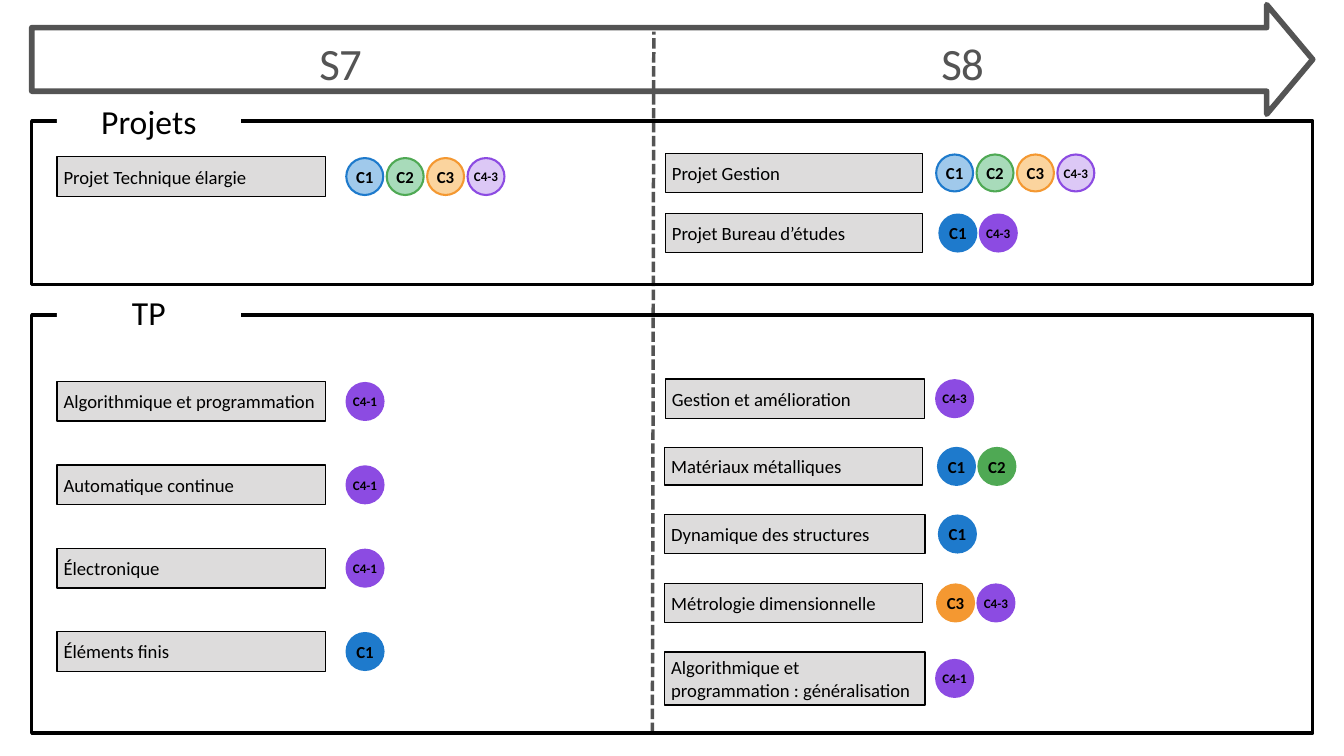
from lxml.etree import SubElement
from pptx import Presentation
from pptx.dml.color import RGBColor
from pptx.enum.dml import MSO_LINE
from pptx.enum.shapes import MSO_CONNECTOR, MSO_SHAPE
from pptx.enum.text import MSO_ANCHOR, PP_ALIGN
from pptx.oxml.ns import qn
from pptx.util import Pt

BLACK = RGBColor(0x00, 0x00, 0x00)
WHITE = RGBColor(0xFF, 0xFF, 0xFF)
GREY = RGBColor(0x54, 0x54, 0x54)
PALE_GREY = RGBColor(0xDD, 0xDC, 0xDC)
BLUE = RGBColor(0x1E, 0x7A, 0xCC)
GREEN = RGBColor(0x4F, 0xA9, 0x54)
ORANGE = RGBColor(0xF4, 0x98, 0x31)
PURPLE = RGBColor(0x8C, 0x4B, 0xE2)
PALE_BLUE = RGBColor(0xA0, 0xC9, 0xEB)
PALE_GREEN = RGBColor(0xA8, 0xDB, 0xBA)
PALE_ORANGE = RGBColor(0xFB, 0xD4, 0x9E)

FONT = "Calibri"
BADGE_SIZE = 39.6
BADGE_STEP = 43.3
BADGE_COLORS = {
    "C1": (BLUE, PALE_BLUE),
    "C2": (GREEN, PALE_GREEN),
    "C3": (ORANGE, PALE_ORANGE),
    "C4-1": (PURPLE, PURPLE),
    "C4-3": (PURPLE, PURPLE),
}

deck = Presentation()
deck.slide_width = Pt(1440)
deck.slide_height = Pt(810)
page = deck.slides.add_slide(deck.slide_layouts[6])


def add_figure(kind, left, top, width, height, fill, line, weight):
    figure = page.shapes.add_shape(kind, Pt(left), Pt(top), Pt(width), Pt(height))
    figure.shadow.inherit = False
    if fill is None:
        figure.fill.background()
    else:
        figure.fill.solid()
        figure.fill.fore_color.rgb = fill
    if line is None:
        figure.line.fill.background()
    else:
        figure.line.color.rgb = line
        figure.line.width = Pt(weight)
    return figure


def write(box, text, size, color=BLACK, align=PP_ALIGN.CENTER, anchor=MSO_ANCHOR.MIDDLE):
    box.text_frame.word_wrap = True
    box.text_frame.vertical_anchor = anchor
    para = box.text_frame.paragraphs[0]
    para.alignment = align
    span = para.add_run()
    span.text = text
    span.font.name = FONT
    span.font.size = Pt(size)
    span.font.color.rgb = color
    return span


arrow = add_figure(MSO_SHAPE.RIGHT_ARROW, 34, 5, 1372.5, 117.4, None, GREY, 6)
arrow.adjustments[0] = 0.58
arrow.adjustments[1] = 0.42

divider = page.shapes.add_connector(
    MSO_CONNECTOR.STRAIGHT, Pt(699), Pt(785.5), Pt(700.5), Pt(34)
)
divider.line.color.rgb = GREY
divider.line.width = Pt(3.75)
divider.line.dash_style = MSO_LINE.SQUARE_DOT
SubElement(divider._element.spPr, qn("a:effectLst"))

for semester, left, width in [("S7", 36, 658), ("S8", 706.3, 650)]:
    box = page.shapes.add_textbox(Pt(left), Pt(33), Pt(width), Pt(60))
    frame = box.text_frame
    frame.margin_left = frame.margin_right = frame.margin_top = frame.margin_bottom = 0
    span = write(box, semester, 48, GREY, anchor=MSO_ANCHOR.TOP)
    span._r.get_or_add_rPr().set("spc", "-100")
    frame.paragraphs[0].line_spacing = Pt(62.4)

for heading, top, height, label_top, anchor in [
    ("Projets", 129.6, 175, 108, MSO_ANCHOR.MIDDLE),
    ("TP", 337.7, 447.8, 309.6, MSO_ANCHOR.TOP),
]:
    add_figure(MSO_SHAPE.RECTANGLE, 34, top, 1372.5, height, None, BLACK, 3.75)
    label = add_figure(MSO_SHAPE.RECTANGLE, 61, label_top, 197, 44, WHITE, None, 0)
    write(label, heading, 36, anchor=anchor)

courses = [
    ("Projet Technique élargie", 61, 168, 287.5, 42.3, 371, ["C1", "C2", "C3", "C4-3"], True),
    ("Projet Gestion", 712.8, 164.2, 275.8, 42.3, 1003, ["C1", "C2", "C3", "C4-3"], True),
    ("Projet Bureau d’études", 712.8, 228.5, 275.8, 42.3, 1006.5, ["C1", "C4-3"], False),
    ("Gestion et amélioration", 712.8, 406, 278, 42.3, 1003, ["C4-3"], False),
    ("Matériaux métalliques", 712, 479.7, 276.5, 40, 1005, ["C1", "C2"], False),
    ("Dynamique des structures", 712, 551, 279, 42.3, 1006, ["C1"], False),
    ("Métrologie dimensionnelle", 712, 625, 276.5, 42, 1004, ["C3", "C4-3"], False),
    ("Algorithmique et programmation : généralisation", 712, 698.4, 279, 57, 1003, ["C4-1"], False),
]
for row, (course, skill) in enumerate([
    ("Algorithmique et programmation", "C4-1"),
    ("Automatique continue", "C4-1"),
    ("Électronique", "C4-1"),
    ("Éléments finis", "C1"),
]):
    courses.append((course, 61, 409 + row * 89.3, 287.5, 42.3, 371.3, [skill], False))

for course, left, top, width, height, badge_left, skills, pale in courses:
    box = add_figure(MSO_SHAPE.RECTANGLE, left, top, width, height, PALE_GREY, BLACK, 1.5)
    write(box, course, 20, align=PP_ALIGN.LEFT)
    badge_top = top + (height - BADGE_SIZE) / 2
    for column, skill in enumerate(skills):
        strong, light = BADGE_COLORS[skill]
        badge = add_figure(
            MSO_SHAPE.OVAL, badge_left + column * BADGE_STEP, badge_top,
            BADGE_SIZE, BADGE_SIZE, light if pale else strong, strong, 2.25,
        )
        if pale and light == strong:
            tint = badge._element.spPr.find(qn("a:solidFill"))[0]
            SubElement(tint, qn("a:alpha"), val="30000")
        frame = badge.text_frame
        frame.margin_left = frame.margin_right = frame.margin_top = frame.margin_bottom = 0
        span = write(badge, skill, 18 if len(skill) == 2 else 14)
        span.font.bold = True
        frame.word_wrap = False

deck.save("out.pptx")
